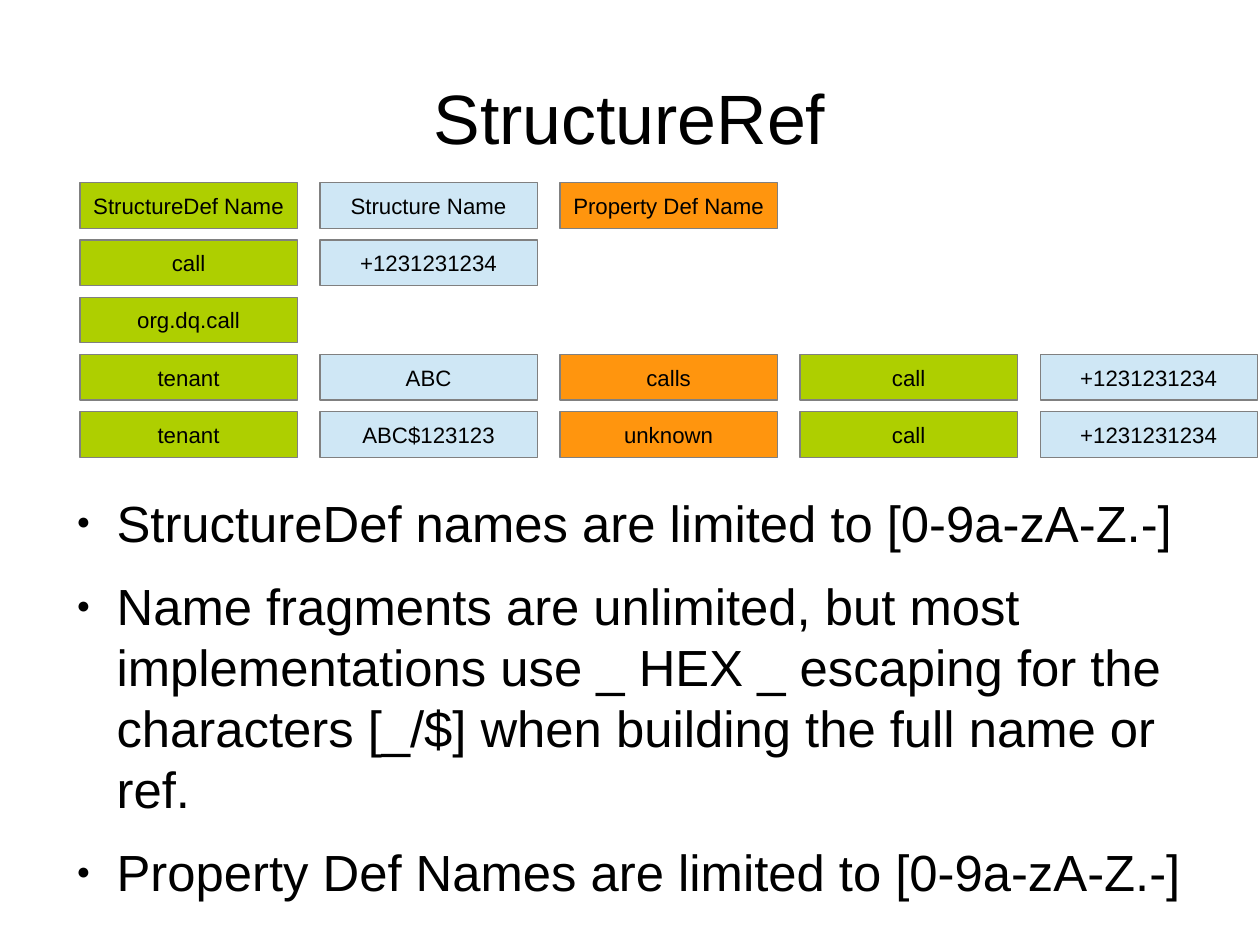
from dataclasses import dataclass

from lxml import etree
from pptx import Presentation
from pptx.dml.color import RGBColor
from pptx.enum.shapes import MSO_SHAPE
from pptx.enum.text import MSO_ANCHOR, PP_ALIGN
from pptx.oxml.ns import qn
from pptx.util import Inches, Pt

RECTANGLE = MSO_SHAPE.RECTANGLE
MIDDLE, TOP = MSO_ANCHOR.MIDDLE, MSO_ANCHOR.TOP
CENTER = PP_ALIGN.CENTER
CM_PER_INCH = 2.54


@dataclass(frozen=True)
class Theme:
    font: str = "Arial"
    text: str = "000000"
    outline: str = "808080"
    # Structure definition, structure, property: repeats along a reference
    fragment_fills: tuple = ("AECF00", "CFE7F5", "FF950E")
    title_size: int = 44
    body_size: int = 32
    fragment_size: int = 14


THEME = Theme()

TITLE = "StructureRef"
REFERENCES = [
    ["StructureDef Name", "Structure Name", "Property Def Name"],
    ["call", "+1231231234"],
    ["org.dq.call"],
    ["tenant", "ABC", "calls", "call", "+1231231234"],
    ["tenant", "ABC$123123", "unknown", "call", "+1231231234"],
]
RULES = [
    "StructureDef names are limited to [0-9a-zA-Z.-]",
    "Name fragments are unlimited, but most implementations use _ HEX _ "
    "escaping for the characters [_/$] when building the full name or ref.",
    "Property Def Names are limited to [0-9a-zA-Z.-]",
]


def style(paragraph, size):
    paragraph.font.name = THEME.font
    paragraph.font.size = Pt(size)
    paragraph.font.color.rgb = RGBColor.from_string(THEME.text)


def add_text_frame(slide, box, anchor):
    frame = slide.shapes.add_textbox(*map(Inches, box)).text_frame
    frame.word_wrap = True
    frame.vertical_anchor = anchor
    frame.margin_left = frame.margin_right = 0
    frame.margin_top = frame.margin_bottom = 0
    return frame


def add_bullet(paragraph):
    properties = paragraph._p.get_or_add_pPr()
    properties.set("marL", str(Inches(0.47)))
    properties.set("indent", str(Inches(-0.35)))
    color = etree.SubElement(properties, qn("a:buClr"))
    etree.SubElement(color, qn("a:srgbClr"), val=THEME.text)
    etree.SubElement(properties, qn("a:buSzPct"), val="45000")
    etree.SubElement(properties, qn("a:buFont"), typeface=THEME.font)
    etree.SubElement(properties, qn("a:buChar"), char="●")


def add_title(slide, box):
    heading = add_text_frame(slide, box, MIDDLE).paragraphs[0]
    heading.text = TITLE
    heading.alignment = CENTER
    style(heading, THEME.title_size)


def add_fragment(slide, box, name, fill):
    fragment = slide.shapes.add_shape(RECTANGLE, *map(Inches, box))
    fragment.shadow.inherit = False
    fragment.fill.solid()
    fragment.fill.fore_color.rgb = RGBColor.from_string(fill)
    fragment.line.color.rgb = RGBColor.from_string(THEME.outline)
    fragment.line.width = Pt(0)
    fragment.text_frame.vertical_anchor = MIDDLE
    label = fragment.text_frame.paragraphs[0]
    label.text = name
    label.alignment = CENTER
    style(label, THEME.fragment_size)


def add_references(slide, box):
    left, top, width, height = box
    gap_x, gap_y = 0.2, 0.1
    columns = max(map(len, REFERENCES))
    step_x = (width + gap_x) / columns
    step_y = (height + gap_y) / len(REFERENCES)
    fills = THEME.fragment_fills
    for row, names in enumerate(REFERENCES):
        for column, name in enumerate(names):
            cell = (left + column * step_x, top + row * step_y,
                    step_x - gap_x, step_y - gap_y)
            add_fragment(slide, cell, name, fills[column % len(fills)])


def add_rules(slide, box):
    frame = add_text_frame(slide, box, TOP)
    for index, rule in enumerate(RULES):
        bullet = frame.add_paragraph() if index else frame.paragraphs[0]
        bullet.text = rule
        bullet.space_after = Pt(14.1)
        add_bullet(bullet)
        style(bullet, THEME.body_size)


def main():
    # The page measures 28 by 21 centimetres
    presentation = Presentation()
    presentation.slide_width = Inches(28 / CM_PER_INCH)
    presentation.slide_height = Inches(21 / CM_PER_INCH)
    slide = presentation.slides.add_slide(presentation.slide_layouts[6])

    # Boxes are left, top, width, height in inches
    add_title(slide, (0.55, 0.33, 9.92, 1.38))
    add_rules(slide, (0.55, 4.3, 9.92, 3.38))
    add_references(slide, (0.7, 1.6, 10.3, 2.4))
    presentation.save("out.pptx")


if __name__ == "__main__":
    main()
